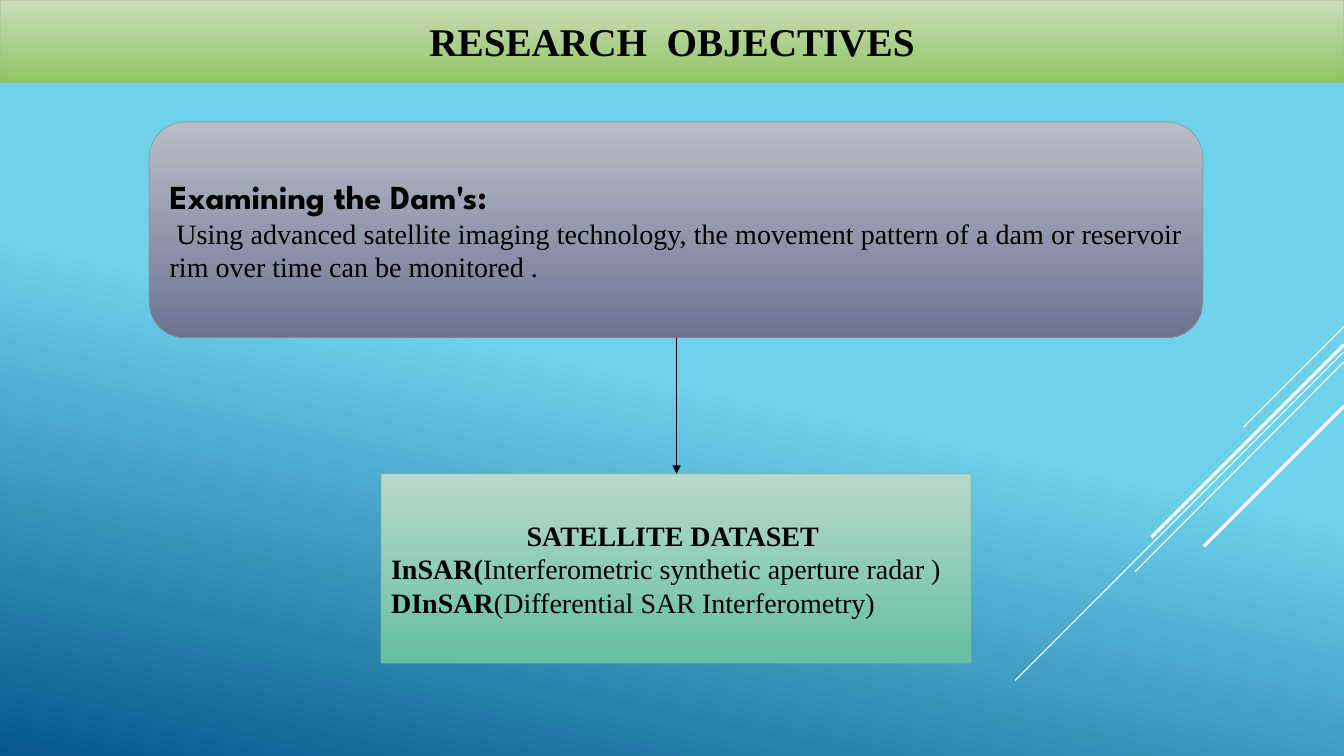
from dataclasses import dataclass

import pptx
import pptx.dml.color
import pptx.dml.fill
import pptx.enum.shapes
import pptx.enum.text
import pptx.oxml
import pptx.oxml.ns
import pptx.shapes.autoshape
import pptx.shapes.connector
import pptx.slide
import pptx.util

Inches = pptx.util.Inches
RGBColor = pptx.dml.color.RGBColor
Align = pptx.enum.text.PP_ALIGN
Preset = pptx.enum.shapes.MSO_SHAPE

BLACK = RGBColor(0x00, 0x00, 0x00)
WHITE = RGBColor(0xFF, 0xFF, 0xFF)
SKY = RGBColor(0x6E, 0xD2, 0xEB)
DEEP_BLUE = RGBColor(0x06, 0x58, 0x8E)
PALE_GREEN = RGBColor(0xCC, 0xDD, 0xBA)
GREEN = RGBColor(0x8F, 0xC5, 0x63)
GREEN_EDGE = RGBColor(0xA4, 0xBB, 0x8B)
PALE_GREY = RGBColor(0xB8, 0xBE, 0xC6)
SLATE = RGBColor(0x6C, 0x74, 0x93)
SLATE_EDGE = RGBColor(0x89, 0x91, 0x9C)
PALE_TEAL = RGBColor(0xB9, 0xDA, 0xCA)
TEAL = RGBColor(0x63, 0xBE, 0xA2)
TEAL_EDGE = RGBColor(0x8A, 0xB7, 0xA1)
SERIF = "Times New Roman"
DISPLAY = "League Spartan"


@dataclass(frozen=True)
class Run:
    text: str
    size: int = 20
    font: str = SERIF
    bold: bool = False


@dataclass(frozen=True)
class Paragraph:
    runs: tuple[Run, ...]
    alignment: Align = Align.LEFT


@dataclass(frozen=True)
class Panel:
    left: float
    top: float
    width: float
    height: float
    upper: RGBColor
    lower: RGBColor
    edge: RGBColor
    paragraphs: tuple[Paragraph, ...]


@dataclass(frozen=True)
class Line:
    start: tuple[float, float]
    end: tuple[float, float]
    color: RGBColor = WHITE
    width: float = 0.75
    arrow: bool = False


TITLE = Panel(0, 0, 13.33, 0.82, PALE_GREEN, GREEN, GREEN_EDGE, (
    Paragraph((Run("RESEARCH  OBJECTIVES", 28, bold=True),), Align.CENTER),
))
OBJECTIVE = Panel(1.48, 1.21, 10.45, 2.14, PALE_GREY, SLATE, SLATE_EDGE, (
    Paragraph((Run("Examining the Dam's:", 24, DISPLAY, True),)),
    Paragraph((
        Run(" ", 18, DISPLAY, True),
        Run("Using advanced satellite imaging technology, the movement pattern of "
            "a dam or reservoir rim over time can be monitored ."),
    ), Align.JUSTIFY),
))
DATASET = Panel(3.78, 4.7, 5.85, 1.88, PALE_TEAL, TEAL, TEAL_EDGE, (
    Paragraph((Run("SATELLITE DATASET ", bold=True),), Align.CENTER),
    Paragraph((Run("InSAR(", bold=True), Run("Interferometric synthetic aperture radar )"))),
    Paragraph((Run("DInSAR", bold=True), Run("(Differential SAR Interferometry)"))),
))
RAYS = (
    Line((13.33, 3.24), (12.33, 4.24)),
    Line((13.33, 3.49), (10.07, 6.75)),
    Line((13.33, 3.59), (11.26, 5.67)),
    Line((13.33, 3.42), (11.42, 5.33), width=2.25),
    Line((13.33, 4.03), (11.94, 5.42), width=2.25),
)
ARROW = Line((6.71, 3.35), (6.71, 4.7), BLACK, 1.25, arrow=True)


def add_child(parent: pptx.oxml.xmlchemy.BaseOxmlElement, tag: str, **attributes: str) -> None:
    child = pptx.oxml.parse_xml(f"<{tag} {pptx.oxml.ns.nsdecls('a')}/>")
    for name, value in attributes.items():
        child.set(name, value)
    parent.append(child)


def set_gradient(fill: pptx.dml.fill.FillFormat, first: RGBColor, last: RGBColor,
                 angle: float = 270, start: float = 0) -> None:
    fill.gradient()
    fill.gradient_angle = angle
    for stop, color, position in zip(fill.gradient_stops, (first, last), (start, 1)):
        stop.color.rgb = color
        stop.position = position


def format_panel(shape: pptx.shapes.autoshape.Shape, panel: Panel) -> None:
    shape.left, shape.top = Inches(panel.left), Inches(panel.top)
    shape.width, shape.height = Inches(panel.width), Inches(panel.height)
    set_gradient(shape.fill, panel.upper, panel.lower)
    shape.line.color.rgb = panel.edge
    shape.line.width = pptx.util.Pt(0.75)
    edge_color = shape.line.fill._xPr.find(".//" + pptx.oxml.ns.qn("a:srgbClr"))
    add_child(edge_color, "a:alpha", val="60000")
    shape.shadow.inherit = False

    frame = shape.text_frame
    frame.word_wrap = True
    frame.auto_size = pptx.enum.text.MSO_AUTO_SIZE.NONE
    frame.vertical_anchor = pptx.enum.text.MSO_ANCHOR.MIDDLE
    for index, content in enumerate(panel.paragraphs):
        paragraph = frame.add_paragraph() if index else frame.paragraphs[0]
        paragraph.alignment = content.alignment
        for item in content.runs:
            run = paragraph.add_run()
            run.text = item.text
            run.font.size = pptx.util.Pt(item.size)
            run.font.name = item.font
            run.font.bold = item.bold
            run.font.color.rgb = BLACK


def add_panel(slide: pptx.slide.Slide, preset: Preset, panel: Panel) -> None:
    shape = slide.shapes.add_shape(preset, 0, 0, Inches(1), Inches(1))
    format_panel(shape, panel)


def add_line(slide: pptx.slide.Slide, line: Line) -> None:
    ends = [Inches(value) for value in line.start + line.end]
    connector = slide.shapes.add_connector(pptx.enum.shapes.MSO_CONNECTOR.STRAIGHT, *ends)
    connector.line.color.rgb = line.color
    connector.line.width = pptx.util.Pt(line.width)
    if line.arrow:
        add_child(connector.line.fill._xPr, "a:tailEnd", type="triangle")
    add_child(connector._element.spPr, "a:effectLst")


def main() -> None:
    presentation = pptx.Presentation()
    presentation.slide_width = Inches(13.33)
    presentation.slide_height = Inches(7.5)
    slide = presentation.slides.add_slide(presentation.slide_layouts.get_by_name("Title Only"))

    # Background and diagonal rays
    set_gradient(slide.background.fill, SKY, DEEP_BLUE, angle=258, start=0.5)
    for ray in RAYS:
        add_line(slide, ray)

    # Title band
    format_panel(slide.shapes.title, TITLE)

    # Objective leading to its dataset
    add_panel(slide, Preset.ROUNDED_RECTANGLE, OBJECTIVE)
    add_panel(slide, Preset.RECTANGLE, DATASET)
    add_line(slide, ARROW)

    presentation.save("out.pptx")


if __name__ == "__main__":
    main()
